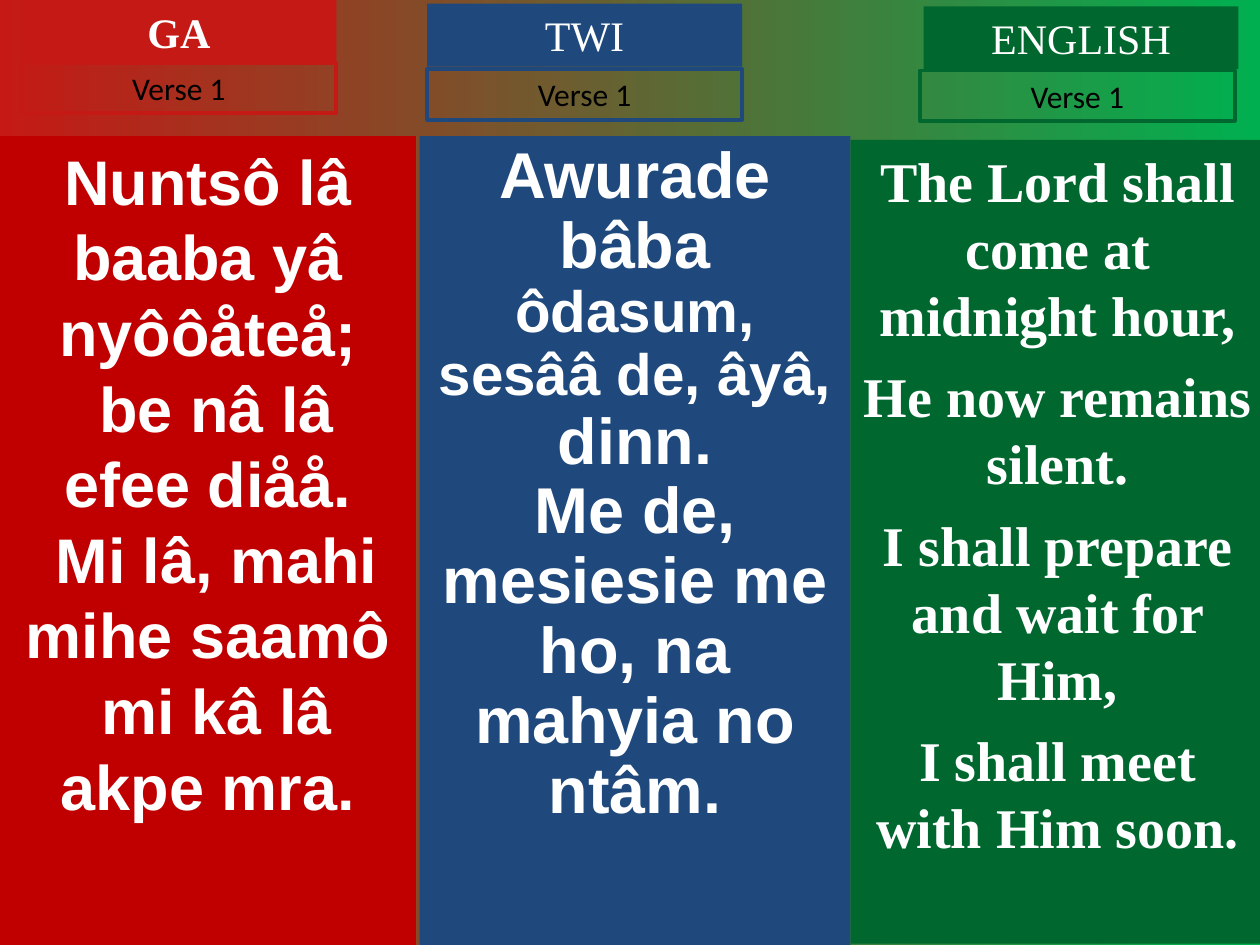
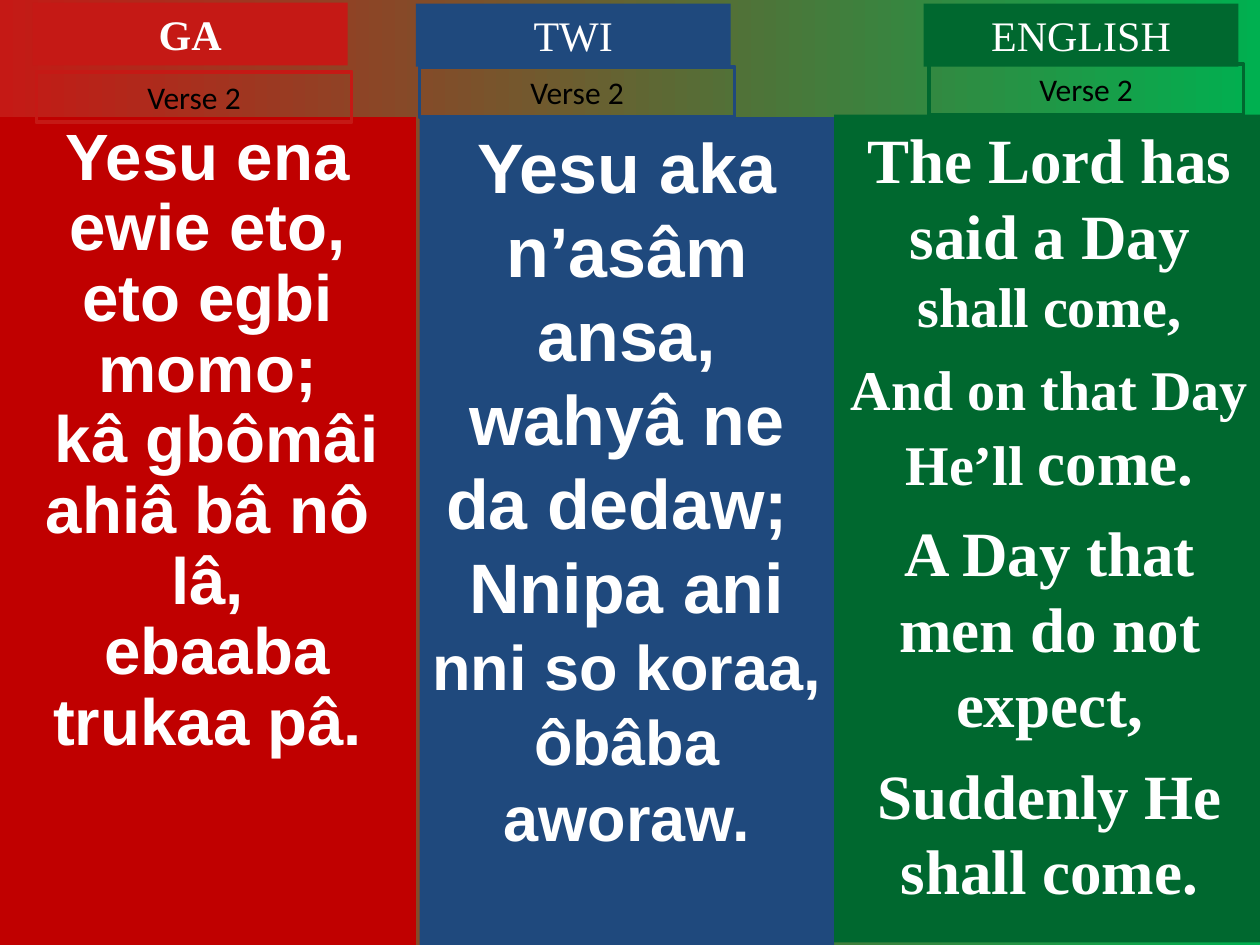
"""Build two hymn slides with Ga, Twi and English verses side by side."""
from lxml import etree
from pptx import Presentation
from pptx.dml.color import RGBColor
from pptx.enum.shapes import MSO_SHAPE
from pptx.enum.text import MSO_ANCHOR, MSO_AUTO_SIZE, PP_ALIGN
from pptx.oxml.ns import qn
from pptx.util import Inches, Pt

COLORS = {
    "ga_label": "C51915",
    "ga_panel": "C00000",
    "twi": "1F497D",
    "english": "00682F",
    "sky": "00B050",
    "light": "FFFFFF",
    "dark": "000000",
}
LANGUAGES = [
    {"name": "GA", "label": "ga_label", "panel": "ga_panel", "font": "Arial", "bold": True},
    {"name": "TWI", "label": "twi", "panel": "twi", "font": "Arial", "bold": False},
    {"name": "ENGLISH", "label": "english", "panel": "english", "font": "Times New Roman", "bold": False},
]
LABEL_SIZE = (2.5, 0.5)
VERSE_SIZE = (2.5, 0.4)

VERSES = [
    {
        "title": "Verse 1",
        "columns": [
            {
                "label": (0.17, 0), "verse": (0.17, 0.5), "panel": (0, 1.08, 3.3, 6.42),
                "spacing": 1, "before": 0,
                "lyrics": [
                    [("Nuntsô lâ baaba yâ nyôôåteå;", 36)],
                    [(" be nâ lâ efee diåå.", 36)],
                    [(" Mi lâ, mahi mihe saamô", 36)],
                    [(" mi kâ lâ akpe mra.", 36)],
                ],
            },
            {
                "label": (3.39, 0.03), "verse": (3.39, 0.55), "panel": (3.33, 1.08, 3.42, 6.42),
                "spacing": 0.9, "before": 0,
                "lyrics": [
                    [("Awurade bâba ", 37), ("ôdasum, sesââ de, âyâ, ", 33.3), ("dinn.", 37)],
                    [("Me de, mesiesie me ho, na mahyia no ntâm.", 37)],
                ],
            },
            {
                "label": (7.33, 0.05), "verse": (7.3, 0.56), "panel": (6.75, 1.11, 3.29, 6.38),
                "spacing": 1, "before": 8,
                "lyrics": [
                    [("The Lord shall come at midnight hour,", 32)],
                    [("He now remains silent.", 32)],
                    [("I shall prepare and wait for Him,", 32)],
                    [("I shall meet with Him soon.", 32)],
                ],
            },
        ],
    },
    {
        "title": "Verse 2",
        "columns": [
            {
                "label": (0.26, 0.02), "verse": (0.29, 0.57), "panel": (0, 0.93, 3.3, 6.57),
                "spacing": 0.9, "before": 0,
                "lyrics": [
                    [("Yesu ena ewie eto, eto egbi momo;", 37.4)],
                    [(" kâ gbômâi ahiâ bâ nô lâ,", 37.4)],
                    [(" ebaaba trukaa pâ.", 37.4)],
                ],
            },
            {
                "label": (3.3, 0.03), "verse": (3.33, 0.53), "panel": (3.33, 0.93, 3.29, 6.57),
                "spacing": 1, "before": 0,
                "lyrics": [
                    [("Yesu aka n’asâm ansa, wahyâ ne da dedaw; ", 40)],
                    [("Nnipa ani ", 40), ("nni so koraa, ôbâba aworaw.", 36)],
                ],
            },
            {
                "label": (7.33, 0.03), "verse": (7.37, 0.51), "panel": (6.62, 0.91, 3.42, 6.57),
                "spacing": 1, "before": 9,
                "lyrics": [
                    [("The Lord has said a Day ", 36), ("shall come,", 32)],
                    [("And on that Day He’ll ", 32), ("come.", 36)],
                    [("A Day that men do not expect,", 36)],
                    [("Suddenly He shall come.", 36)],
                ],
            },
        ],
    },
]


def place(shape, box, fill=None, line=None):
    shape.left, shape.top, shape.width, shape.height = [Inches(length) for length in box]
    shape.shadow.inherit = False
    if fill:
        shape.fill.solid()
        shape.fill.fore_color.rgb = RGBColor.from_string(COLORS[fill])
    else:
        shape.fill.background()
    if line:
        shape.line.color.rgb = RGBColor.from_string(COLORS[line])
        shape.line.width = Pt(2.25)
    else:
        shape.line.fill.background()


def write(shape, paragraphs, font, color, bold, spacing=1, before=0):
    frame = shape.text_frame
    frame.word_wrap = True
    frame.auto_size = MSO_AUTO_SIZE.NONE
    frame.vertical_anchor = MSO_ANCHOR.TOP
    for index, runs in enumerate(paragraphs):
        paragraph = frame.add_paragraph() if index else frame.paragraphs[0]
        paragraph.alignment = PP_ALIGN.CENTER
        paragraph.line_spacing = float(spacing)
        paragraph.space_before = Pt(before if index else 0)
        properties = paragraph._p.get_or_add_pPr()
        properties.set("marL", "0")
        properties.set("indent", "0")
        etree.SubElement(properties, qn("a:buNone"))
        paragraph.font.name = font
        paragraph.font.bold = bold
        paragraph.font.color.rgb = RGBColor.from_string(COLORS[color])
        sizes = {size for _, size in runs}
        if len(sizes) == 1:
            paragraph.font.size = Pt(runs[0][1])
        for text, size in runs:
            run = paragraph.add_run()
            run.text = text
            if len(sizes) > 1:
                run.font.size = Pt(size)


prs = Presentation()
prs.slide_width, prs.slide_height = Inches(10), Inches(7.5)
two_content = prs.slide_layouts[3]

for verse in VERSES:
    slide = prs.slides.add_slide(two_content)
    backdrop = slide.background.fill
    backdrop.gradient()
    backdrop.gradient_angle = 0
    for stop, color in zip(backdrop.gradient_stops, ("ga_label", "sky")):
        stop.color.rgb = RGBColor.from_string(COLORS[color])

    title, ga_lyrics, twi_lyrics = list(slide.placeholders)[:3]
    ready = {("GA", "label"): title, ("GA", "panel"): ga_lyrics, ("TWI", "panel"): twi_lyrics}

    for language, column in zip(LANGUAGES, verse["columns"]):
        parts = {}
        for part in ("panel", "label", "verse"):
            parts[part] = ready.get((language["name"], part)) or slide.shapes.add_shape(
                MSO_SHAPE.RECTANGLE, 0, 0, Inches(1), Inches(1))

        place(parts["panel"], column["panel"], fill=language["panel"])
        write(parts["panel"], column["lyrics"], language["font"], "light", True,
              column["spacing"], column["before"])
        place(parts["label"], column["label"] + LABEL_SIZE, fill=language["label"])
        write(parts["label"], [[(language["name"], 24)]], "Times New Roman", "light", language["bold"])
        place(parts["verse"], column["verse"] + VERSE_SIZE, line=language["label"])
        write(parts["verse"], [[(verse["title"], 18)]], "Calibri", "dark", False)

    for placeholder in list(slide.placeholders):
        if not placeholder.text_frame.text:
            placeholder._element.getparent().remove(placeholder._element)

prs.save("out.pptx")
